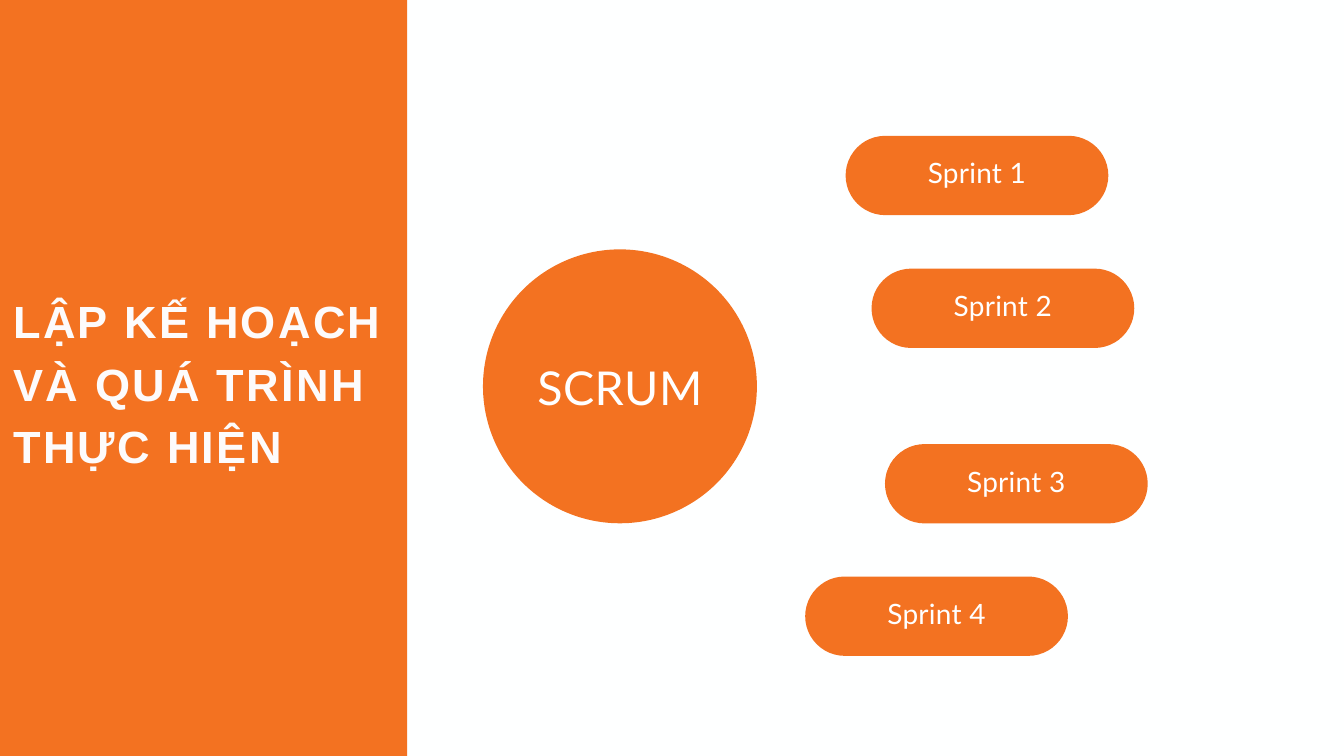
from pptx import Presentation
from pptx.dml.color import RGBColor
from pptx.enum import shapes, text
from pptx.util import Pt

ORANGE = "F37221"
INSET = 4.3


def paint(fill, colour):
    fill.solid()
    fill.fore_color.rgb = RGBColor.from_string(colour)


def set_type(paragraph, name, size, colour, spacing, line, align):
    """Format a whole paragraph; spacing is the tracking in points."""
    paragraph.alignment = align
    paragraph.line_spacing = Pt(line)
    font = paragraph.font
    font.name, font.size = name, Pt(size)
    font.color.rgb = RGBColor.from_string(colour)
    properties = paragraph._p.get_or_add_pPr().get_or_add_defRPr()
    properties.set("spc", str(round(spacing * 100)))


prs = Presentation()
prs.slide_width, prs.slide_height = Pt(1440), Pt(810)
slide = prs.slides.add_slide(prs.slide_layouts[5])
paint(slide.background.fill, "FEFFFF")

# Title on the orange side panel
title = slide.shapes.title
title.left, title.top, title.width, title.height = Pt(14.4), Pt(306), Pt(407.5), Pt(203)
heading = title.text_frame
heading.text = "LẬP KẾ HOẠCH\nVÀ QUÁ TRÌNH THỰC HIỆN"
heading.word_wrap = True
heading.auto_size = text.MSO_AUTO_SIZE.NONE
heading.vertical_anchor = text.MSO_ANCHOR.TOP
heading.margin_left = heading.margin_right = heading.margin_top = heading.margin_bottom = 0
for paragraph in heading.paragraphs:
    set_type(paragraph, "Arial", 48.3, "FDFBFB", 2.4, 66.7, text.PP_ALIGN.LEFT)
    paragraph.font.bold = True

panel = slide.shapes.add_shape(shapes.MSO_SHAPE.RECTANGLE, 0, 0, Pt(436.3), prs.slide_height)
panel.shadow.inherit = False
panel.line.fill.background()
paint(panel.fill, ORANGE)
slide.shapes._spTree.insert(2, panel._element)  # behind the title

# Scrum circle and its sprints: label, kind, left, top, width, height, size, line, lift
OVAL, PILL = shapes.MSO_SHAPE.OVAL, shapes.MSO_SHAPE.ROUNDED_RECTANGLE
nodes = [("SCRUM", OVAL, 517.5, 267.2, 293.5, 293.5, 50, 70, 4)]
sprint_places = [(906, 145.5), (933.8, 287.8), (948.2, 475.8), (862.7, 617.7)]
for number, (left, top) in enumerate(sprint_places, 1):
    nodes.append((f"Sprint {number}", PILL, left, top, 281.5, 85, 30, 42, 6))

for label, kind, left, top, width, height, size, line, lift in nodes:
    node = slide.shapes.add_shape(kind, Pt(left), Pt(top), Pt(width), Pt(height))
    if kind == PILL:
        node.adjustments[0] = 0.5
    node.shadow.inherit = False
    node.line.fill.background()
    paint(node.fill, ORANGE)
    frame = node.text_frame
    frame.text = label
    frame.word_wrap = True
    frame.vertical_anchor = text.MSO_ANCHOR.MIDDLE
    frame.margin_left = frame.margin_right = frame.margin_top = Pt(INSET)
    frame.margin_bottom = Pt(INSET + 2 * lift)
    set_type(frame.paragraphs[0], "Lato", size, "FFFFFF", size / 100, line, text.PP_ALIGN.CENTER)

prs.save("out.pptx")
